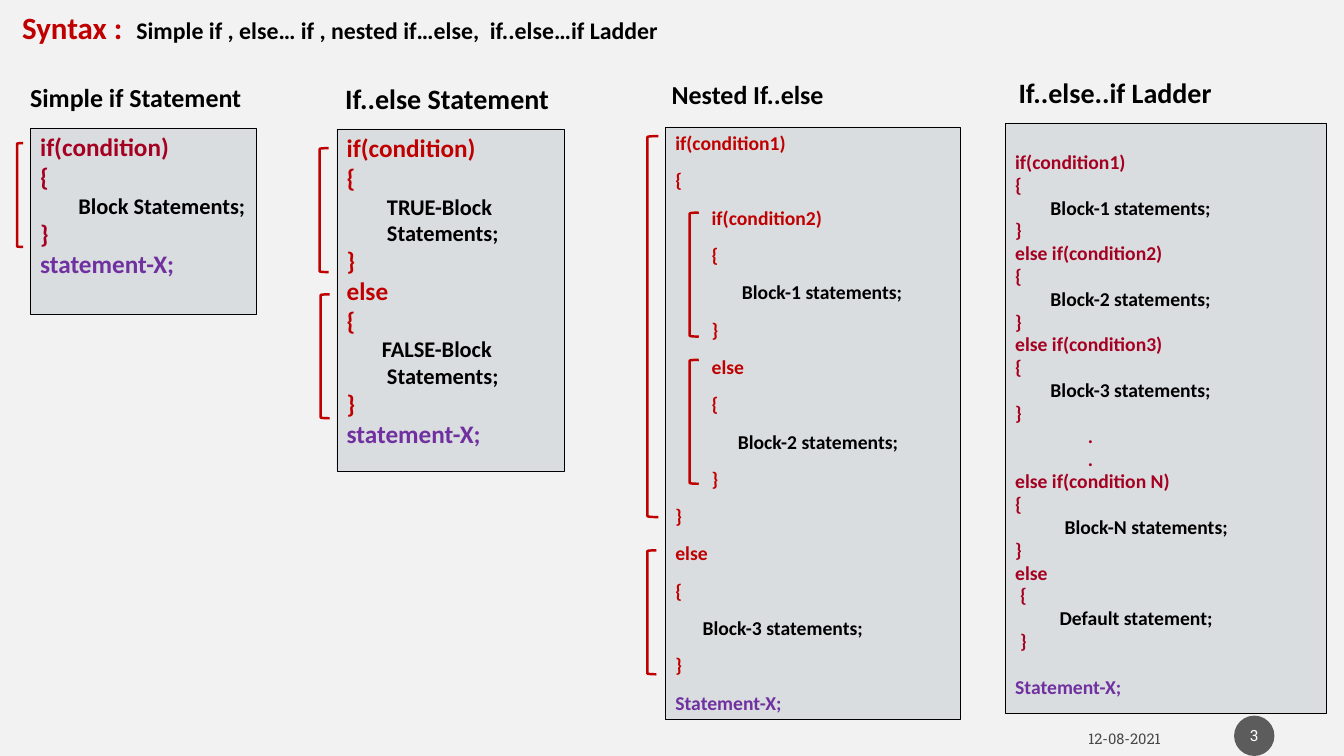
from lxml.etree import SubElement
from pptx import Presentation
from pptx.dml.color import RGBColor
from pptx.enum.shapes import MSO_SHAPE
from pptx.enum.text import MSO_ANCHOR, PP_ALIGN
from pptx.oxml.ns import qn
from pptx.util import Inches, Pt

COLORS = {
    "page": "F2F2F2", "panel": "D9DDDF", "black": "000000", "white": "FFFFFF",
    "red": "C00000", "wine": "A50021", "violet": "7030A0", "badge": "1D1D1D",
}
INSETS = {"margin_left": 0.1, "margin_right": 0.1,
          "margin_top": 0.05, "margin_bottom": 0.05}


def color(name):
    return RGBColor.from_string(COLORS[name])


def fade(fill, name, percent):
    """Fill with a colour at the given opacity."""
    fill.solid()
    fill.fore_color.rgb = color(name)
    tone = fill._xPr.find(qn("a:solidFill"))[0]
    SubElement(tone, qn("a:alpha"), val=str(percent * 1000))


def add_run(para, text, size, tint, face="Calibri", bold=True):
    run = para.add_run()
    run.text = text
    for key, value in {"name": face, "size": Pt(size), "bold": bold}.items():
        setattr(run.font, key, value)
    run.font.color.rgb = color(tint)
    return run


def set_frame(shape, anchor, **insets):
    frame = shape.text_frame
    frame.word_wrap = True
    frame.vertical_anchor = anchor
    for key, value in {**INSETS, **insets}.items():
        setattr(frame, key, Inches(value))
    return frame


def add_shape(slide, kind, box, fill=None, line=None, width=0.25):
    shape = slide.shapes.add_shape(kind, *map(Inches, box))
    shape.shadow.inherit = False
    if fill:
        shape.fill.solid()
        shape.fill.fore_color.rgb = color(fill)
    else:
        shape.fill.background()
    if line:
        shape.line.color.rgb = color(line)
        shape.line.width = Pt(width)
    else:
        shape.line.fill.background()
    return shape


def add_label(slide, box, runs, align=PP_ALIGN.CENTER, **insets):
    label = slide.shapes.add_textbox(*map(Inches, box))
    para = set_frame(label, MSO_ANCHOR.BOTTOM, **insets).paragraphs[0]
    para.alignment = align
    for text, size, tint in runs:
        add_run(para, text, size, tint)


def branch(head, *body, pad=0, brace=None):
    """Lines of one block; pad shifts the head, brace the braces."""
    brace = pad if brace is None else brace
    return [(head, "key", pad), ("{", "key", brace), *body, ("}", "key", brace)]


def add_panel(slide, box, lines, key, sizes, spacing, before=0, top=0.05, gap=0):
    """Code panel; gap is the space above its last line."""
    panel = add_shape(slide, MSO_SHAPE.RECTANGLE, box, "panel", "black")
    frame = set_frame(panel, MSO_ANCHOR.TOP, margin_top=top, margin_right=0.05)
    tints = {"key": key, "code": "black", "end": "violet"}
    for i, (text, role, pad) in enumerate(lines):
        para = frame.add_paragraph() if i else frame.paragraphs[0]
        look = {"alignment": PP_ALIGN.LEFT, "line_spacing": spacing,
                "space_before": Pt(gap if gap and role == "end" else before)}
        for name, value in look.items():
            setattr(para, name, value)
        para._p.get_or_add_pPr().set("marL", str(Inches(pad)))
        add_run(para, text, sizes[role == "code"], tints[role])


def add_column(slide, title, size, head, box, lines, brackets=(), **look):
    """Heading, code panel and brackets, which are offset from the panel."""
    add_panel(slide, box, lines, **look)
    add_label(slide, head, [(title, size, "black")])
    for dx, dy, width, height in brackets:
        spot = (box[0] + dx, box[1] + dy, width, height)
        add_shape(slide, MSO_SHAPE.LEFT_BRACKET, spot, line="red", width=1.75)


def add_footer(slide, box):
    left, top, width, height = box
    date = slide.shapes.add_textbox(*map(Inches, (left, top + 0.05, 3.01, 0.35)))
    para = set_frame(date, MSO_ANCHOR.MIDDLE).paragraphs[0]
    para.alignment = PP_ALIGN.RIGHT
    run = add_run(para, "12-08-2021", 10.5, "black", "Roboto Slab", False)
    fade(run.font.fill, "black", 70)
    spot = (left + width - height, top, height, height)
    badge = add_shape(slide, MSO_SHAPE.OVAL, spot)
    fade(badge.fill, "badge", 70)
    para = set_frame(badge, MSO_ANCHOR.MIDDLE,
                     margin_left=0.02, margin_right=0.02).paragraphs[0]
    para.alignment = PP_ALIGN.CENTER
    add_run(para, "3", 11, "white", "Roboto Slab", False)


def simple_lines():
    return [*branch("if(condition)", ("Block Statements;", "code", 0.38)),
            ("statement-X;", "end", 0)]


def else_lines():
    rest = ("Statements;", "code", 0.4)
    return [*branch("if(condition)", ("TRUE-Block", "code", 0.4), rest),
            *branch("else", ("FALSE-Block", "code", 0.35), rest),
            ("statement-X;", "end", 0)]


def nested_lines():
    inner = [
        *branch("if(condition2)", ("Block-1 statements;", "code", 0.66), pad=0.36),
        *branch("else", ("Block-2 statements;", "code", 0.62), pad=0.36),
    ]
    return [*branch("if(condition1)", *inner),
            *branch("else", ("Block-3 statements;", "code", 0.27)),
            ("Statement-X;", "end", 0)]


def ladder_lines():
    lines = []
    for n in (1, 2, 3):
        head = f"{'else ' if n > 1 else ''}if(condition{n})"
        lines += branch(head, (f"Block-{n} statements;", "code", 0.35))
    lines += [(".", "key", 0.72)] * 2
    lines += branch("else if(condition N)", ("Block-N statements;", "code", 0.49))
    lines += branch("else", ("Default statement;", "code", 0.44), brace=0.05)
    return [*lines, ("Statement-X;", "end", 0)]


def main():
    deck = Presentation()
    deck.slide_width, deck.slide_height = Inches(13.33), Inches(7.5)
    slide = deck.slides.add_slide(deck.slide_layouts[6])
    slide.background.fill.solid()
    slide.background.fill.fore_color.rgb = color("page")

    add_label(slide, (-0.22, 0.09, 7.23, 0.41), [
        ("Syntax :  ", 22.1, "red"),
        ("Simple if , else… if , nested if…else,  if..else…if Ladder", 17, "black"),
    ], PP_ALIGN.LEFT, margin_left=0.44)

    large = {"sizes": (18, 16), "spacing": 0.99}
    small = {"sizes": (14, 14)}
    add_column(slide, "Simple if Statement", 18.5, (0.02, 0.76, 2.65, 0.41),
               (0.3, 1.27, 2.24, 1.85), simple_lines(),
               [(-0.13, 0.15, 0.06, 1.03)], key="wine", **large)
    add_column(slide, "If..else Statement", 20, (3.13, 0.78, 2.61, 0.41),
               (3.34, 1.28, 2.26, 3.4), else_lines(),
               [(-0.17, 0.19, 0.09, 1.23), (-0.16, 1.64, 0.09, 1.23)],
               key="red", **large)
    add_column(slide, "Nested If..else", 18.5, (6.38, 0.73, 2.07, 0.41),
               (6.6, 1.26, 2.92, 5.88), nested_lines(),
               [(-0.18, 0.09, 0.11, 3.78), (-0.18, 4.2, 0.09, 1.23),
                (0.24, 0.85, 0.09, 1.23), (0.24, 2.31, 0.09, 1.23)],
               key="red", spacing=0.99, before=10, **small)
    add_column(slide, "If..else..if Ladder", 20, (9.92, 0.72, 2.28, 0.41),
               (9.97, 1.22, 3.18, 5.86), ladder_lines(),
               key="wine", spacing=0.97, top=0.28, gap=16.6, **small)
    add_footer(slide, (8.6, 7.1, 4.04, 0.4))
    deck.save("out.pptx")


if __name__ == "__main__":
    main()
